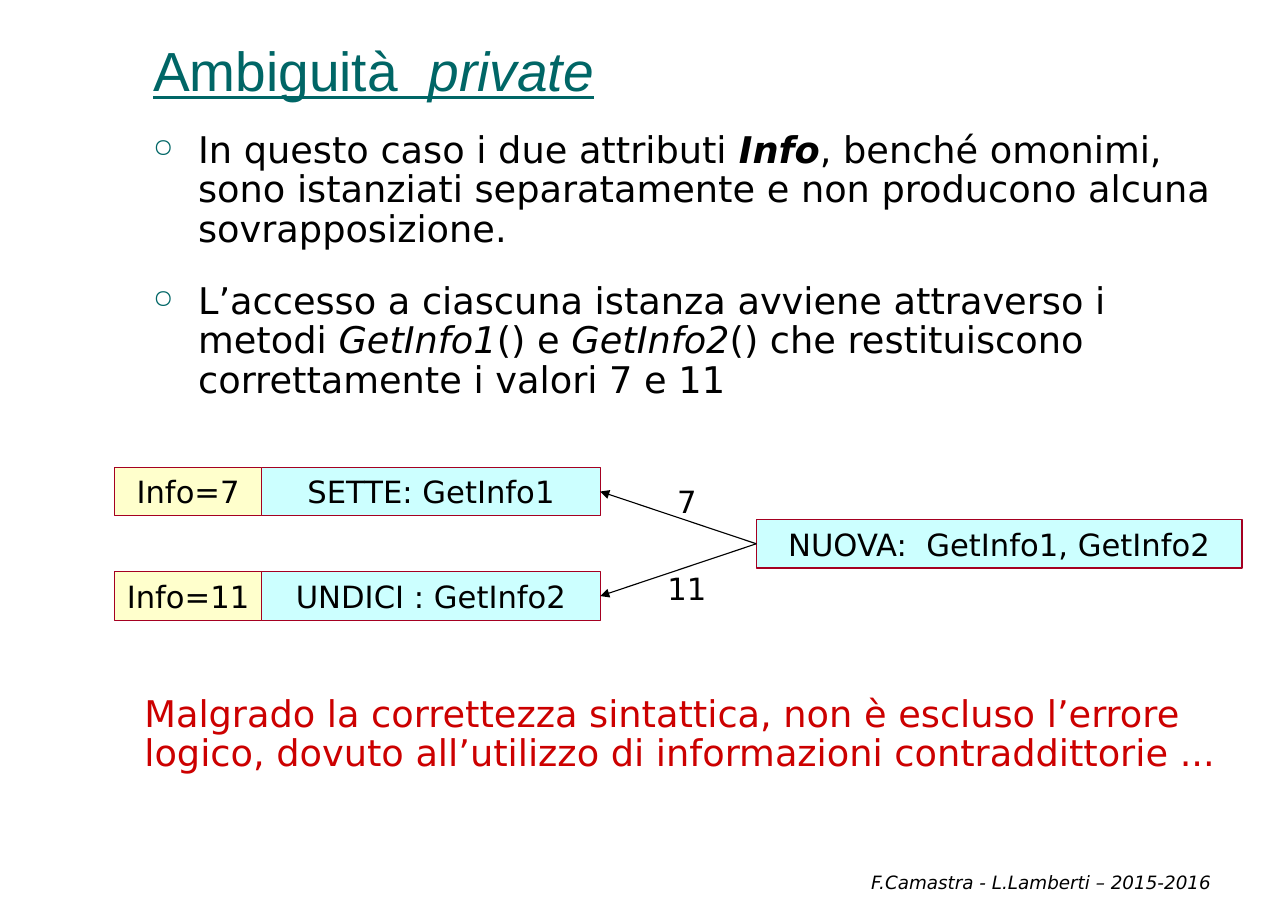
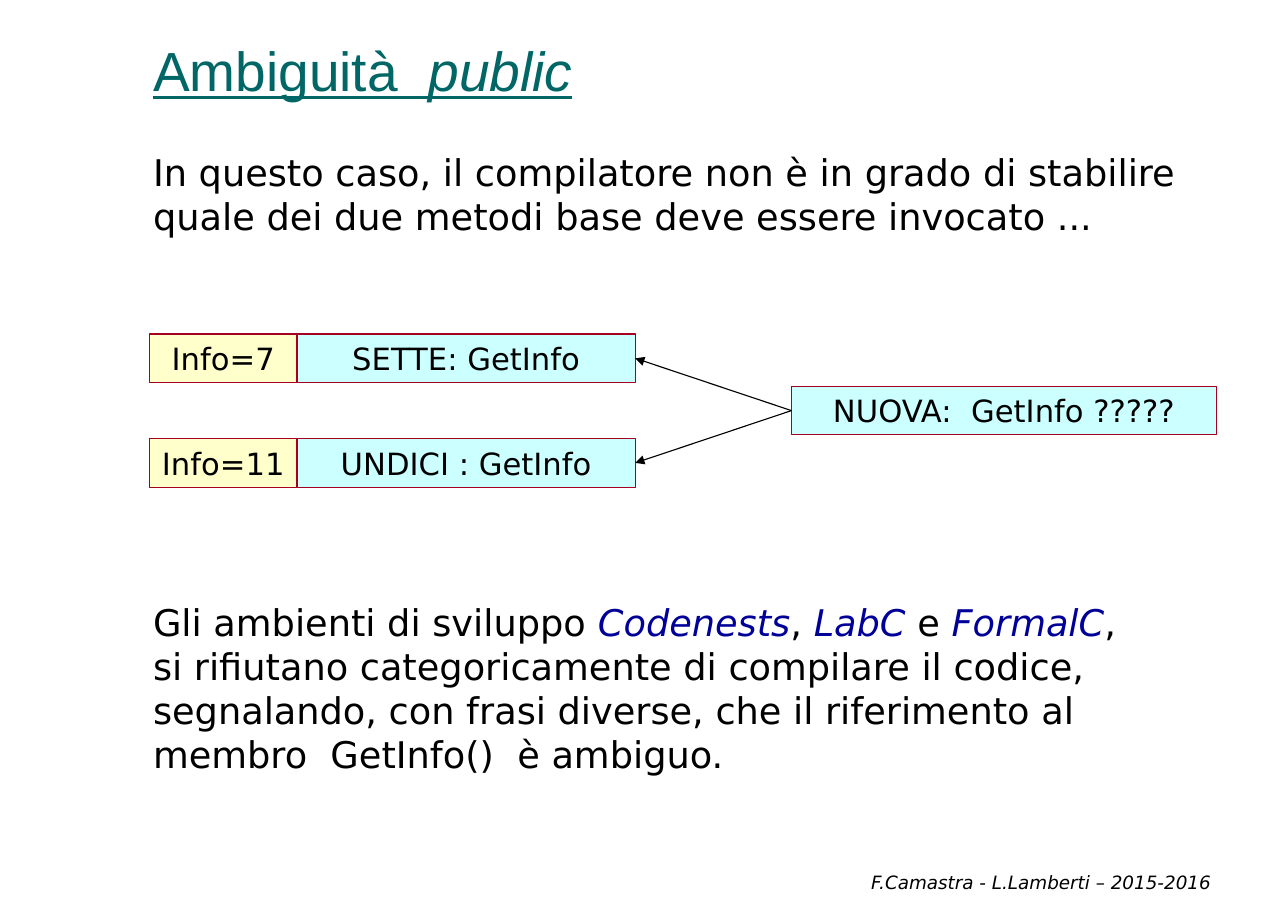
import lxml.etree
import pptx
import pptx.dml.color
import pptx.enum.shapes
import pptx.enum.text
import pptx.oxml.ns
import pptx.util

Cm = pptx.util.Cm
Pt = pptx.util.Pt
ALIGN = pptx.enum.text.PP_ALIGN
ANCHOR = pptx.enum.text.MSO_ANCHOR
qn = pptx.oxml.ns.qn

COLORS = {
    "title": "006666",
    "text": "000000",
    "warning": "CC0000",
    "tool": "000099",
    "attribute": "FFFFCC",
    "class": "CCFFFF",
    "border": "A50021",
}
BODY_FONT = "DejaVu Sans"
TITLE_FONT = "Arial"
LINE_WIDTH = Pt(0.75)

# Diagram measures in cm
BOX_HEIGHT = 1.12
ROW_PITCH = 2.41
ATTRIBUTE_WIDTH = 3.4
METHOD_WIDTH = 7.8
ARROW_GAP = 3.6


def rgb(name):
    return pptx.dml.color.RGBColor.from_string(COLORS[name])


def sub_element(parent, tag, **attributes):
    return lxml.etree.SubElement(parent, qn(tag), attributes)


# Text
def style_paragraph(paragraph, size, color="text", font=BODY_FONT, align=ALIGN.LEFT):
    paragraph.alignment = align
    paragraph.font.size = Pt(size)
    paragraph.font.name = font
    paragraph.font.color.rgb = rgb(color)


def add_runs(paragraph, pieces):
    """Pieces are plain strings or (text, font settings) pairs; "\\n" breaks the line."""
    for piece in pieces:
        if piece == "\n":
            paragraph.add_line_break()
            continue
        text, settings = (piece, {}) if isinstance(piece, str) else piece
        run = paragraph.add_run()
        run.text = text
        run.font.bold = settings.get("bold")
        run.font.italic = settings.get("italic")
        if "color" in settings:
            run.font.color.rgb = rgb(settings["color"])


def add_text(slide, left, top, width, height, paragraphs, size=24, anchor=ANCHOR.TOP,
             spacing=None, inset=(0.28, 0.13), **style):
    frame = slide.shapes.add_textbox(Cm(left), Cm(top), Cm(width), Cm(height)).text_frame
    frame.word_wrap = True
    frame.vertical_anchor = anchor
    frame.margin_left = frame.margin_right = Cm(inset[0])
    frame.margin_top = frame.margin_bottom = Cm(inset[1])
    for index, pieces in enumerate(paragraphs):
        paragraph = frame.paragraphs[0] if index == 0 else frame.add_paragraph()
        style_paragraph(paragraph, size, **style)
        paragraph.line_spacing = spacing
        add_runs(paragraph, pieces)
    return frame.paragraphs


def add_bullets(paragraphs):
    for paragraph in paragraphs:
        paragraph.space_before = Pt(6)
        paragraph.space_after = Pt(15)
        properties = paragraph._p.get_or_add_pPr()
        properties.set("marL", str(Cm(1.04)))
        properties.set("indent", str(-Cm(1.04)))
        bullet_color = sub_element(properties, "a:buClr")
        sub_element(bullet_color, "a:srgbClr", val=COLORS["title"])
        sub_element(properties, "a:buSzPct", val="70000")
        sub_element(properties, "a:buChar", char="○")
        # The schema wants the default run properties after the bullet
        properties.append(properties.find(qn("a:defRPr")))


# Diagram
def add_box(slide, left, top, width, label, fill):
    box = slide.shapes.add_shape(pptx.enum.shapes.MSO_SHAPE.RECTANGLE,
                                 Cm(left), Cm(top), Cm(width), Cm(BOX_HEIGHT))
    box.shadow.inherit = False
    box.fill.solid()
    box.fill.fore_color.rgb = rgb(fill)
    box.line.color.rgb = rgb("border")
    box.line.width = LINE_WIDTH
    frame = box.text_frame
    frame.margin_left = frame.margin_right = 0
    frame.margin_top = frame.margin_bottom = Cm(0.13)
    frame.vertical_anchor = ANCHOR.MIDDLE
    paragraph = frame.paragraphs[0]
    style_paragraph(paragraph, 20, align=ALIGN.CENTER)
    add_runs(paragraph, [label])
    return box


def add_arrow(slide, base, derived):
    """Link the right side of base to the left side of derived, pointing at base."""
    arrow = slide.shapes.add_connector(pptx.enum.shapes.MSO_CONNECTOR.STRAIGHT, 0, 0, 0, 0)
    arrow.begin_connect(base, 3)
    arrow.end_connect(derived, 1)
    arrow.line.color.rgb = rgb("text")
    arrow.line.width = LINE_WIDTH
    sub_element(arrow.line._get_or_add_ln(), "a:headEnd", type="triangle")
    sub_element(arrow._element.spPr, "a:effectLst")


def add_diagram(slide, left, top, bases, derived_label, derived_width):
    method_left = left + ATTRIBUTE_WIDTH
    derived_left = method_left + METHOD_WIDTH + ARROW_GAP
    derived = add_box(slide, derived_left, top + ROW_PITCH / 2, derived_width,
                      derived_label, "class")
    for row, (attribute, method) in enumerate(bases):
        row_top = top + row * ROW_PITCH
        base = add_box(slide, method_left, row_top, METHOD_WIDTH, method, "class")
        add_box(slide, left, row_top, ATTRIBUTE_WIDTH, attribute, "attribute")
        add_arrow(slide, base, derived)


# Shared slide frame
def add_slide(deck, access):
    slide = deck.slides.add_slide(deck.slide_layouts[6])
    add_text(slide, 10.13, 19.5, 18.08, 1.22,
             [[("F.Camastra - L.Lamberti – 2015-2016", {"italic": True})]],
             size=12, anchor=ANCHOR.BOTTOM, align=ALIGN.RIGHT)
    title = add_text(slide, 3.25, 0.15, 24.97, 2.34,
                     [["Ambiguità  ", (access, {"italic": True})]],
                     size=36, anchor=ANCHOR.BOTTOM, color="title", font=TITLE_FONT)[0]
    title.font.underline = True
    return slide


def build_private(deck):
    slide = add_slide(deck, "private")
    italic = {"italic": True}
    add_bullets(add_text(slide, 3.25, 2.9, 25.4, 6.8, [
        ["In questo caso i due attributi ", ("Info", {"bold": True, "italic": True}),
         ", benché omonimi, sono istanziati separatamente e non producono alcuna "
         "sovrapposizione."],
        ["L’accesso a ciascuna istanza avviene attraverso i metodi ", ("GetInfo1", italic),
         "() e ", ("GetInfo2", italic),
         "() che restituiscono correttamente i valori 7 e 11"],
    ], spacing=0.9))
    add_diagram(slide, 2.64, 10.77,
                [("Info=7", "SETTE: GetInfo1"), ("Info=11", "UNDICI : GetInfo2")],
                "NUOVA:  GetInfo1, GetInfo2", 11.2)
    for value, top in (("7", 11.13), ("11", 13.13)):
        add_text(slide, 15.04, top, 1.6, 0.84, [[value]], size=20, inset=(0, 0),
                 align=ALIGN.CENTER)
    add_text(slide, 3.05, 15.9, 25.8, 3, [[
        "Malgrado la correttezza sintattica, non è escluso l’errore logico, dovuto "
        "all’utilizzo di informazioni contraddittorie ..."]],
        color="warning", spacing=0.9)


def build_public(deck):
    slide = add_slide(deck, "public")
    tool = {"italic": True, "color": "tool"}
    add_text(slide, 3.25, 3.33, 24.6, 3.96, [[
        "In questo caso, il compilatore non è in grado di stabilire quale dei due metodi "
        "base deve essere invocato ..."]])
    add_diagram(slide, 3.45, 7.7,
                [("Info=7", "SETTE: GetInfo"), ("Info=11", "UNDICI : GetInfo")],
                "NUOVA:  GetInfo ?????", 9.8)
    add_text(slide, 3.25, 13.69, 23.6, 6, [[
        "Gli ambienti di sviluppo ", ("Codenests", tool), ", ", ("LabC", tool), " e ",
        ("FormalC", tool), ",", "\n",
        "si rifiutano categoricamente di compilare il codice, segnalando, con frasi "
        "diverse, che il riferimento al membro  GetInfo()  è ambiguo."]])


def main():
    deck = pptx.Presentation()
    deck.slide_width = Cm(29.7)
    deck.slide_height = Cm(21)
    build_private(deck)
    build_public(deck)
    deck.save("out.pptx")


main()
